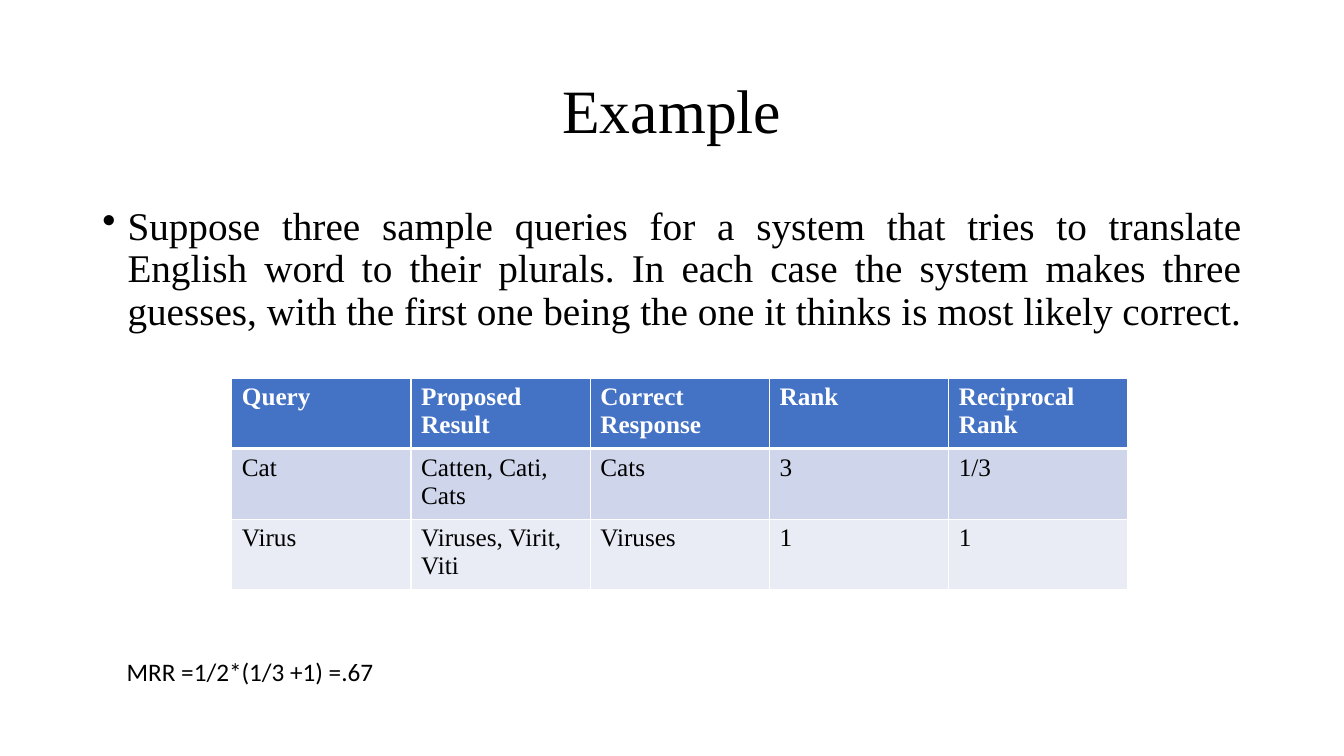
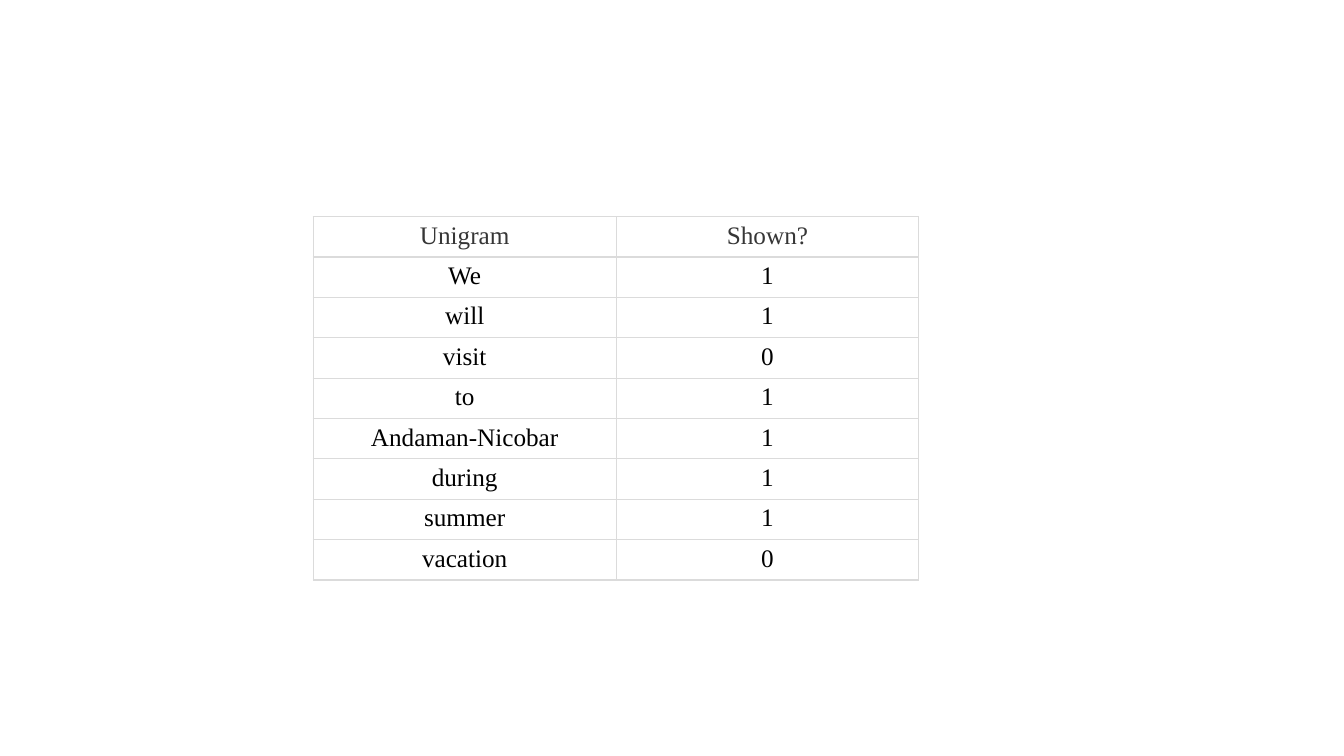
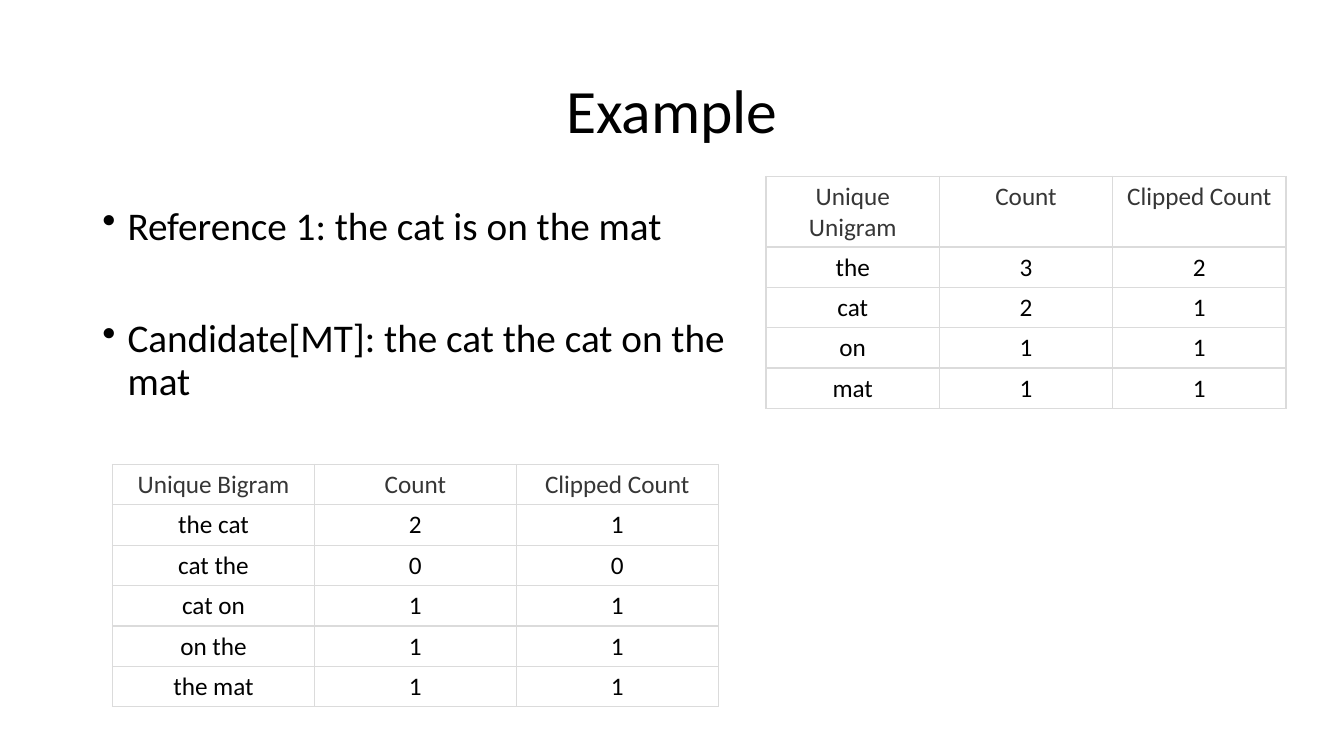
import pptx
import pptx.util
import pptx.dml.color
import pptx.enum.text
import pptx.oxml
import pptx.oxml.ns

# Shared look
WIDE, HIGH = 13.33, 7.5
COLS, ROWS = 160, 90
SERIF, SANS = "Times New Roman", "Calibri"
BLACK, WHITE, GREY, LINE = "000000", "FFFFFF", "363636", "DBDBDB"
BLUE, BANDS = "4472C4", ("CFD5EA", "E9EBF5")
TITLE = (11, 4.8, 138, 17.4)
ALIGN = pptx.enum.text.PP_ALIGN
ANCHOR = pptx.enum.text.MSO_ANCHOR


def hue(code):
    return pptx.dml.color.RGBColor.from_string(code)


def across(n):
    return pptx.util.Inches(WIDE * n / COLS)


def down(n):
    return pptx.util.Inches(HIGH * n / ROWS)


def place(box):
    """Turn a box in grid columns and rows into lengths."""
    x, y, w, h = box
    return across(x), down(y), across(w), down(h)


def write(frame, text, font=SERIF, size=18, color=BLACK, bold=False,
          align=ALIGN.LEFT, line=None, gap=0, bullet=False):
    """Write one paragraph per line of text, gap points apart."""
    frame.word_wrap = True
    for i, words in enumerate(text.split("\n")):
        para = frame.add_paragraph() if i else frame.paragraphs[0]
        if bullet:
            props = para._p.get_or_add_pPr()
            inset = pptx.util.Inches(0.25)
            props.set("marL", str(inset))
            props.set("indent", str(-inset))
            mark = pptx.oxml.ns.qn("a:buChar")
            props.append(props.makeelement(mark, {"char": "•"}))
        para.alignment = align
        if line:
            para.line_spacing = line
        if i:
            para.space_before = pptx.util.Pt(gap)
        run = para.add_run()
        run.text = words
        run.font.name = font
        run.font.size = pptx.util.Pt(size)
        run.font.bold = bold
        run.font.color.rgb = hue(color)


def head(slide, text, font):
    """Title in the slide's placeholder."""
    title = slide.shapes.title
    title.left, title.top, title.width, title.height = place(TITLE)
    frame = title.text_frame
    frame.auto_size = pptx.enum.text.MSO_AUTO_SIZE.NONE
    frame.vertical_anchor = ANCHOR.MIDDLE
    write(frame, text, font=font, size=44, align=ALIGN.CENTER, line=0.9)


def note(slide, box, text, **style):
    """Free text in a box."""
    write(slide.shapes.add_textbox(*place(box)).text_frame, text, **style)


def body(slide, box, text, **style):
    """Bulleted main text."""
    note(slide, box, text, size=28, line=0.9, bullet=True, **style)


def edge(cell, color, base):
    """Cell borders; base is the width of the lower one."""
    props = cell._tc.get_or_add_tcPr()
    space = pptx.oxml.ns.nsdecls("a")
    for i, (side, width) in enumerate(zip("LRTB", (1, 1, 1, base))):
        props.insert(i, pptx.oxml.parse_xml(
            f'<a:ln{side} {space} w="{pptx.util.Pt(width)}"><a:solidFill>'
            f'<a:srgbClr val="{color}"/></a:solidFill></a:ln{side}>'))


def grid(slide, spot, wide, tall, data, top=WHITE, bands=(WHITE,),
         line=LINE, rule=1, ink=GREY, strong=False, **style):
    """Table with equal columns; tall is the least row height."""
    count = len(data[0])
    box = (*spot, wide, tall * len(data))
    table = slide.shapes.add_table(len(data), count, *place(box)).table
    table.first_row = table.horz_banding = False
    for col in table.columns:
        col.width = across(wide / count)
    for r, row in enumerate(data):
        table.rows[r].height = down(tall)
        for c, text in enumerate(row):
            cell = table.cell(r, c)
            cell.fill.solid()
            cell.fill.fore_color.rgb = hue(
                bands[(r - 1) % len(bands)] if r else top)
            edge(cell, line, base=1 if r else rule)
            write(cell.text_frame, text, color=BLACK if r else ink,
                  bold=strong and r == 0, **style)


def rank(deck):
    """Reciprocal rank example."""
    slide = deck.slides.add_slide(deck.slide_layouts[5])
    head(slide, "Example", SERIF)
    body(slide, (11, 24, 138, 53.5),
         "Suppose three sample queries for a system that tries to translate "
         "English word to their plurals. In each case the system makes three "
         "guesses, with the first one being the one it thinks is most likely "
         "correct. ", align=ALIGN.JUSTIFY)
    grid(slide, (27.6, 45), 106.7, 4.9, [
        ("Query", "Proposed Result", "Correct Response", "Rank",
         "Reciprocal Rank"),
        ("Cat", "Catten, Cati, Cats", "Cats", "3", "1/3"),
        ("Virus", "Viruses, Virit, Viti", "Viruses", "1", "1"),
    ], top=BLUE, bands=BANDS, line=WHITE, rule=3, ink=WHITE, strong=True)
    note(slide, (13.9, 77.5, 82.9, 4.8), "MRR =1/2*(1/3 +1) =.67", font=SANS)


def shown(deck):
    """Unigram table alone."""
    slide = deck.slides.add_slide(deck.slide_layouts[6])
    words = "We will visit to Andaman-Nicobar during summer vacation".split()
    grid(slide, (37.3, 25.8), 72.1, 4.4,
         [("Unigram", "Shown?"), *zip(words, "11011110")],
         align=ALIGN.CENTER)


def clip(deck):
    """Clipped count example."""
    slide = deck.slides.add_slide(deck.slide_layouts[5])
    head(slide, "Example", SANS)
    body(slide, (11, 24, 83.5, 57.1),
         "Reference 1: the cat is on the mat\n"
         "Candidate[MT]: the cat the cat on the mat", font=SANS, gap=50)
    pairs = ("the cat", "cat the", "cat on", "on the", "the mat")
    for name, spot, wide, rows in (
            ("Unigram", (91.2, 21), 61.9,
             zip(("the", "cat", "on", "mat"), "3211", "2111")),
            ("Bigram", (13.4, 55.3), 72.1, zip(pairs, "20111", "10111"))):
        grid(slide, spot, wide, 4.8,
             [("Unique " + name, "Count", "Clipped Count"), *rows],
             font=SANS, align=ALIGN.CENTER)


def main():
    deck = pptx.Presentation()
    deck.slide_width = pptx.util.Inches(WIDE)
    deck.slide_height = pptx.util.Inches(HIGH)
    for build in (rank, shown, clip):
        build(deck)
    deck.save("out.pptx")


if __name__ == "__main__":
    main()
